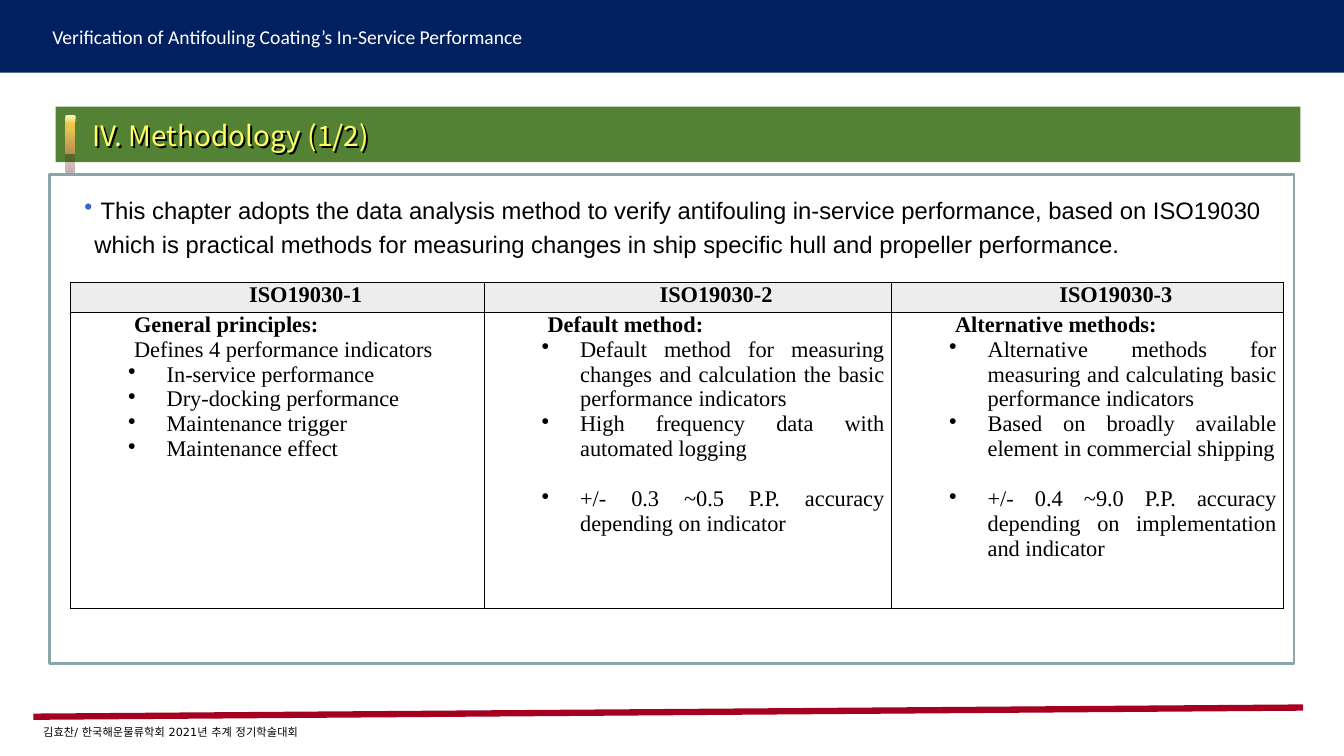
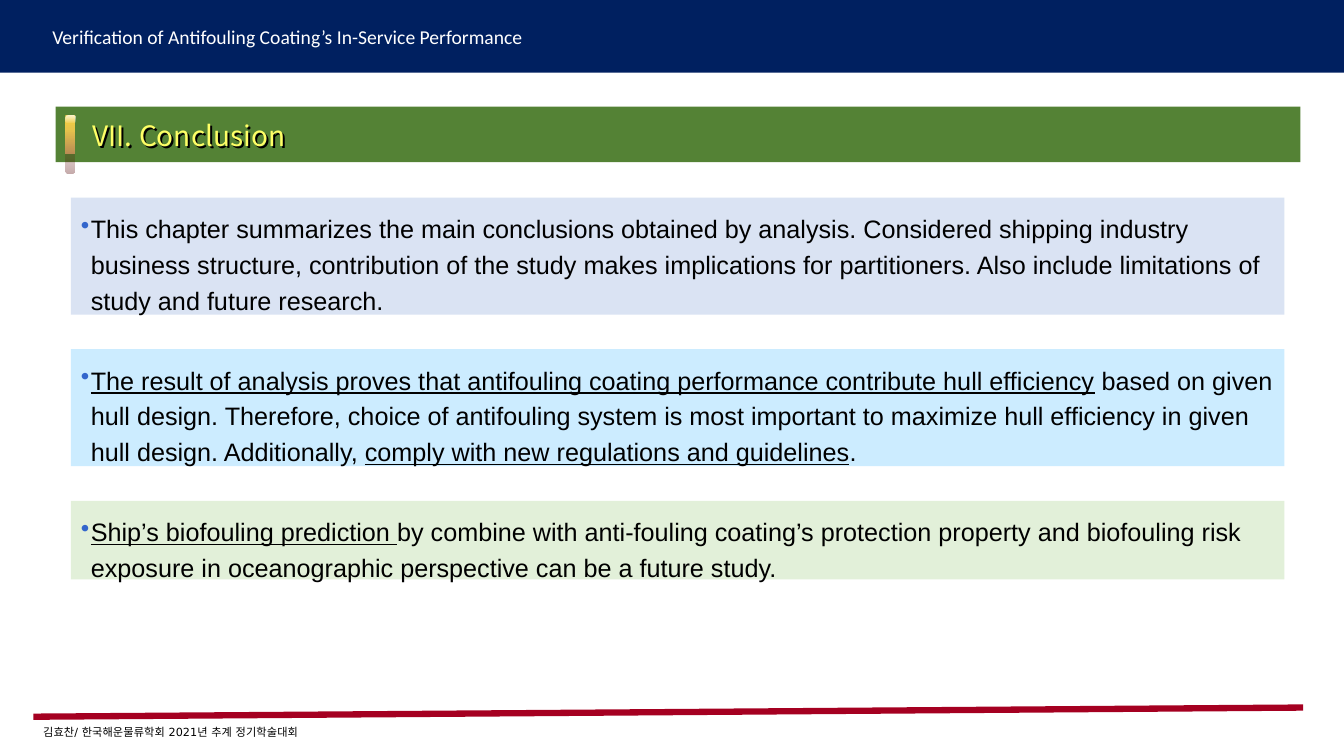
from lxml.etree import SubElement
from pptx import Presentation
from pptx.dml.color import RGBColor
from pptx.enum.shapes import MSO_CONNECTOR, MSO_SHAPE
from pptx.enum.text import MSO_ANCHOR, MSO_AUTO_SIZE, PP_ALIGN
from pptx.oxml.ns import qn
from pptx.util import Cm, Pt

NAVY, GREEN, RED = "002060", "548235", "A50021"
BLACK, WHITE, YELLOW = "000000", "FFFFFF", "FFFF66"
FRAME, BULLET, HEAD = "8AA6A8", "3366CC", "EDEDED"
TITLE_FONT, BODY_FONT, TABLE_FONT = "Noto Sans CJK KR", "Arial", "Times New Roman"

INTRO = (" This chapter adopts the data analysis method to verify antifouling "
         "in-service performance, based on ISO19030 which is practical methods "
         "for measuring changes in ship specific hull and propeller performance.")

# Each part: code, name, lead line, points, closing note
PARTS = [
    ("ISO19030-1", "General principles:", "Defines 4 performance indicators",
     ["In-service performance", "Dry-docking performance",
      "Maintenance trigger", "Maintenance effect"], ""),
    ("ISO19030-2", "Default method:", "",
     ["Default method for measuring changes and calculation the basic "
      "performance indicators",
      "High frequency data with automated logging"],
     "+/- 0.3 ~0.5 P.P. accuracy depending on indicator"),
    ("ISO19030-3", "Alternative methods:", "",
     ["Alternative methods for measuring and calculating basic "
      "performance indicators",
      "Based on broadly available element in commercial shipping"],
     "+/- 0.4 ~9.0 P.P. accuracy depending on implementation and indicator"),
]

# Each panel: fill, height in cm, text with underlined parts between "_"
PANELS = [
    ("DAE3F3", 2.95,
     "This chapter summarizes the main conclusions obtained by analysis. "
     "Considered shipping industry business structure, contribution of the "
     "study makes implications for partitioners. Also include limitations of "
     "study and future research."),
    ("CCECFF", 2.95,
     "_The result of analysis proves that antifouling coating performance "
     "contribute hull efficiency_ based on given hull design. Therefore, choice "
     "of antifouling system is most important to maximize hull efficiency in "
     "given hull design. Additionally, _comply with new regulations and "
     "guidelines_."),
    ("E2F0D9", 1.98,
     "_Ship’s biofouling prediction _by combine with anti-fouling coating’s "
     "protection property and biofouling risk exposure in oceanographic "
     "perspective can be a future study."),
]


def rgb(code):
    return RGBColor.from_string(code)


def box(slide, x, y, w, h, fill=None, line=None, kind=MSO_SHAPE.RECTANGLE):
    shape = slide.shapes.add_shape(kind, Cm(x), Cm(y), Cm(w), Cm(h))
    shape.shadow.inherit = False
    if fill:
        shape.fill.solid()
        shape.fill.fore_color.rgb = rgb(fill)
    else:
        shape.fill.background()
    if line:
        shape.line.color.rgb = rgb(line)
        shape.line.width = Pt(2)
    else:
        shape.line.fill.background()
    return shape


def label(slide, x, y, w, h, pad=0.25):
    """Add an empty wrapped text box and return its frame."""
    frame = slide.shapes.add_textbox(Cm(x), Cm(y), Cm(w), Cm(h)).text_frame
    return set_pad(frame, pad)


def set_pad(frame, pad):
    frame.word_wrap = True
    frame.margin_left = frame.margin_right = Cm(0.25)
    frame.margin_top = frame.margin_bottom = Cm(pad)
    return frame


def write(para, text, size=16, font=BODY_FONT, color=BLACK, bold=False,
          align=PP_ALIGN.LEFT, left=0, hang=0, lead=None, before=0, dot=None):
    """Fill a paragraph; parts of the text between "_" are underlined."""
    para.alignment = align
    if lead:
        para.line_spacing = lead
    if before:
        para.space_before = Pt(before)
    props = para._p.get_or_add_pPr()
    props.set("marL", str(Cm(left)))
    props.set("indent", str(-Cm(hang)))
    if dot:
        tint = SubElement(props, qn("a:buClr"))
        SubElement(tint, qn("a:srgbClr"), val=dot)
        SubElement(props, qn("a:buChar"), char="•")
    for index, part in enumerate(text.split("_")):
        if not part:
            continue
        run = para.add_run()
        run.text = part
        run.font.size = Pt(size)
        run.font.name = font
        run.font.bold = bold
        run.font.underline = index % 2 == 1
        run.font.color.rgb = rgb(color)
        SubElement(run._r.get_or_add_rPr(), qn("a:ea"), typeface=font)


def bullet(frame, text, size):
    frame.vertical_anchor = MSO_ANCHOR.TOP
    write(frame.paragraphs[0], text, size=size, left=0.25, hang=0.25,
          lead=1.19, dot=BULLET)


def fade(shape, stops):
    """Give a downward gradient of (colour, opacity percent) stops."""
    shape.fill.gradient()
    grad = shape._element.spPr.find(qn("a:gradFill"))
    for child in list(grad):
        grad.remove(child)
    group = SubElement(grad, qn("a:gsLst"))
    for index, (code, alpha) in enumerate(stops):
        stop = SubElement(group, qn("a:gs"), pos=str(index * 100000))
        tint = SubElement(stop, qn("a:srgbClr"), val=code)
        SubElement(tint, qn("a:alpha"), val=str(alpha * 1000))
    SubElement(grad, qn("a:lin"), ang="5400000", scaled="0")


def pill(slide, y, w, h, round_by, stops):
    shape = box(slide, 1.65, y, w, h, kind=MSO_SHAPE.ROUNDED_RECTANGLE)
    shape.adjustments[0] = round_by
    fade(shape, stops)
    return shape


def rule(slide, x1, y1, x2, y2):
    line = slide.shapes.add_connector(
        MSO_CONNECTOR.STRAIGHT, Cm(x1), Cm(y1), Cm(x2), Cm(y2))
    line.line.color.rgb = rgb(RED)
    line.line.width = Pt(4.5)
    SubElement(line._element.spPr, qn("a:effectLst"))


def set_title(slide, text):
    title = slide.shapes.title
    title.left, title.top = Cm(2.08), Cm(2.87)
    title.width, title.height = Cm(17.32), Cm(1.09)
    frame = set_pad(title.text_frame, 0.13)
    frame.auto_size = MSO_AUTO_SIZE.NONE
    frame.vertical_anchor = MSO_ANCHOR.MIDDLE
    write(frame.paragraphs[0], text, size=20, font=TITLE_FONT, color=YELLOW)
    effects = SubElement(title._element.spPr, qn("a:effectLst"))
    shade = SubElement(effects, qn("a:outerShdw"), dist="25400", dir="2700000")
    SubElement(shade, qn("a:srgbClr"), val=BLACK)
    # Bring the title in front of its green band
    title._element.getparent().append(title._element)


def new_slide(deck, title):
    """Add a slide with the shared bands, footer and title."""
    slide = deck.slides.add_slide(deck.slide_layouts[5])
    box(slide, 0, 0, 33.87, 1.83, fill=NAVY)
    head = label(slide, 1.07, 0.51, 12.7, 0.86, pad=0.13)
    write(head.paragraphs[0],
          "Verification of Antifouling Coating’s In-Service Performance",
          size=14, font="Calibri", color=WHITE)
    rule(slide, 0.84, 18.06, 32.84, 17.83)
    foot = label(slide, 0.84, 18.16, 11.63, 0.61, pad=0.13)
    write(foot.paragraphs[0], "김효찬/ 한국해운물류학회 2021년 추계 정기학술대회",
          size=8, font="DejaVu Sans")
    box(slide, 1.4, 2.69, 31.37, 1.4, fill=GREEN)
    pill(slide, 2.9, 0.25, 0.99, 0.06, [("F4D13E", 100), ("CEAB64", 100)])
    pill(slide, 2.92, 0.25, 0.18, 0.33, [(WHITE, 79), (WHITE, 0)])
    glow = pill(slide, 3.3, 0.23, 1.07, 0.31, [("580808", 35), ("740A0A", 0)])
    glow._element.spPr.get_or_add_xfrm().set("flipV", "1")
    set_title(slide, title)
    return slide


def style_cell(cell, fill=None):
    cell.margin_left = cell.margin_right = Cm(0.18)
    cell.margin_top = cell.margin_bottom = 0
    props = cell._tc.get_or_add_tcPr()
    for side in ("lnL", "lnR", "lnT", "lnB"):
        edge = SubElement(props, qn("a:" + side), w=str(Pt(1)))
        paint = SubElement(edge, qn("a:solidFill"))
        SubElement(paint, qn("a:srgbClr"), val=BLACK)
    if fill:
        cell.fill.solid()
        cell.fill.fore_color.rgb = rgb(fill)
    else:
        cell.fill.background()


def fill_part(cell, name, lead, points, note):
    """Write the body cell of one part of the standard."""
    frame = cell.text_frame
    plain = dict(font=TABLE_FONT, align=PP_ALIGN.JUSTIFY, left=1.42)
    point = dict(plain, left=2.24, hang=0.97, dot=BLACK)
    write(frame.paragraphs[0], name, bold=True, **plain)
    if lead:
        write(frame.add_paragraph(), lead, **plain)
    for text in points:
        write(frame.add_paragraph(), text, **point)
    if note:
        write(frame.add_paragraph(), note, before=17.7, **point)


def add_parts(slide):
    widths, heights = (10.42, 10.27, 9.88), (0.76, 7.47)
    table = slide.shapes.add_table(
        2, len(PARTS), Cm(1.78), Cm(7.11),
        Cm(sum(widths)), Cm(sum(heights))).table
    table.first_row = table.horz_banding = False
    for row, height in zip(table.rows, heights):
        row.height = Cm(height)
    for index, (code, *body) in enumerate(PARTS):
        table.columns[index].width = Cm(widths[index])
        head, cell = table.cell(0, index), table.cell(1, index)
        style_cell(head, HEAD)
        style_cell(cell)
        write(head.text_frame.paragraphs[0], code, font=TABLE_FONT, bold=True,
              align=PP_ALIGN.CENTER, left=1.42)
        fill_part(cell, *body)


def add_panels(slide):
    for index, (fill, height, text) in enumerate(PANELS):
        panel = box(slide, 1.79, 4.98 + 3.82 * index, 30.58, height, fill=fill)
        bullet(set_pad(panel.text_frame, 0.25), text, 18)


def main():
    deck = Presentation()
    deck.slide_width, deck.slide_height = Cm(33.87), Cm(19.05)

    method = new_slide(deck, "IV. Methodology (1/2)")
    box(method, 1.24, 4.39, 31.37, 12.34, line=FRAME)
    bullet(label(method, 1.88, 4.55, 30.58, 3.48), INTRO, 17)
    add_parts(method)

    add_panels(new_slide(deck, "VII. Conclusion"))
    deck.save("out.pptx")


if __name__ == "__main__":
    main()
